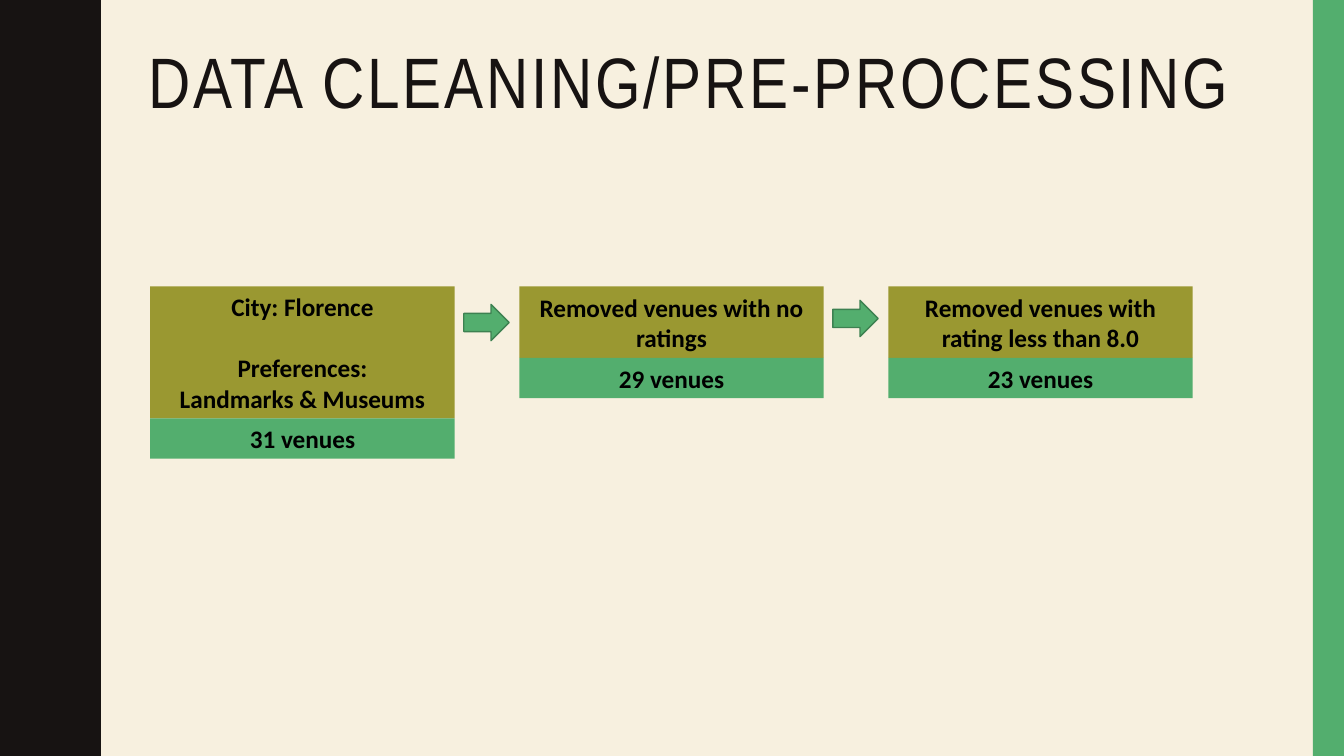
from pptx import Presentation
from pptx.dml.color import RGBColor
from pptx.enum.shapes import MSO_SHAPE
from pptx.enum.text import MSO_ANCHOR, PP_ALIGN
from pptx.util import Inches, Pt

CREAM, INK, GREEN, OLIVE = "F7F0DF", "171312", "53AE6E", "9A9831"
DARK_GREEN, BLACK = "3D8151", "000000"

WAVE_PERIOD = 1.5
# Rising half of one wave: x and y in inches
HALF_WAVE = [(0.78, 0), (0.78, 0.07), (0.79, 0.14), (0.8, 0.2), (0.81, 0.25),
             (0.83, 0.29), (0.85, 0.33), (0.87, 0.38), (0.89, 0.42), (0.91, 0.46),
             (0.93, 0.5), (0.95, 0.55), (0.96, 0.61), (0.97, 0.68), (0.97, 0.75)]

STEP_LEFT, STEP_TOP, STEP_WIDTH, STEP_PITCH = 1.49, 2.84, 3.02, 3.66
COUNT_HEIGHT = 0.4
# Paragraphs, height of the heading, venues left
STEPS = [
    (["City: Florence", "Preferences:", "Landmarks & Museums"], 1.31, "31 venues"),
    (["Removed venues with no ratings"], 0.71, "29 venues"),
    (["Removed venues with rating less than 8.0"], 0.71, "23 venues"),
]
ARROW_TOPS = [3.02, 2.98]


def color(hex_value):
    return RGBColor.from_string(hex_value)


def paint(shape, fill, line=None):
    shape.shadow.inherit = False
    shape.fill.solid()
    shape.fill.fore_color.rgb = color(fill)
    if line:
        shape.line.color.rgb = color(line)
        shape.line.width = Pt(1)
    else:
        shape.line.fill.background()


def add_block(slide, kind, left, top, width, height, fill, line=None):
    block = slide.shapes.add_shape(
        kind, Inches(left), Inches(top), Inches(width), Inches(height))
    paint(block, fill, line)
    return block


def add_run(paragraph, text, font, size, hex_value, bold=False):
    run = paragraph.add_run()
    run.text = text
    run.font.name = font
    run.font.size = Pt(size)
    run.font.bold = bold
    run.font.color.rgb = color(hex_value)
    return run


def add_label(slide, left, top, height, fill, lines):
    label = add_block(slide, MSO_SHAPE.RECTANGLE, left, top, STEP_WIDTH, height, fill)
    frame = label.text_frame
    frame.word_wrap = True
    frame.vertical_anchor = MSO_ANCHOR.MIDDLE
    for index, line in enumerate(lines):
        paragraph = frame.add_paragraph() if index else frame.paragraphs[0]
        paragraph.alignment = PP_ALIGN.CENTER
        if index == 1:
            paragraph.space_before = Pt(22)
        add_run(paragraph, line, "Calibri", 18, BLACK, bold=True)


def add_wave_edge(slide):
    falling = [(x, WAVE_PERIOD - y) for x, y in reversed(HALF_WAVE[1:-1])]
    edge = [(x, y + WAVE_PERIOD * wave)
            for wave in range(5) for x, y in HALF_WAVE + falling]
    outline = edge + [(0.78, 7.5), (0, 7.5)]
    builder = slide.shapes.build_freeform(0, 0, scale=Inches(1))
    builder.add_line_segments(outline, close=True)
    paint(builder.convert_to_shape(), INK)


def add_title(slide, text):
    title = slide.shapes.add_textbox(
        Inches(1.37), Inches(0.42), Inches(11.13), Inches(1.63))
    title.text_frame.word_wrap = True
    paragraph = title.text_frame.paragraphs[0]
    paragraph.line_spacing = 0.9
    run = add_run(paragraph, text, "Arial Narrow", 51, INK)
    run.font._element.set("spc", "200")  # letter spacing of 2 pt


def main():
    prs = Presentation()
    prs.slide_width, prs.slide_height = Inches(13.33), Inches(7.5)
    slide = prs.slides.add_slide(prs.slide_layouts[6])

    # Background and side decoration
    slide.background.fill.solid()
    slide.background.fill.fore_color.rgb = color(CREAM)
    add_wave_edge(slide)
    add_block(slide, MSO_SHAPE.RECTANGLE, 13.02, 0, 0.31, 7.5, GREEN)

    add_title(slide, "DATA CLEANING/PRE-PROCESSING")

    # Cleaning steps with the venues that remain
    for index, (heading, height, venues) in enumerate(STEPS):
        left = STEP_LEFT + STEP_PITCH * index
        add_label(slide, left, STEP_TOP, height, OLIVE, heading)
        add_label(slide, left, STEP_TOP + height, COUNT_HEIGHT, GREEN, [venues])

    # Arrows between the steps
    for index, top in enumerate(ARROW_TOPS):
        add_block(slide, MSO_SHAPE.RIGHT_ARROW, 4.6 + STEP_PITCH * index, top,
                  0.45, 0.36, GREEN, DARK_GREEN)

    prs.save("out.pptx")


if __name__ == "__main__":
    main()
